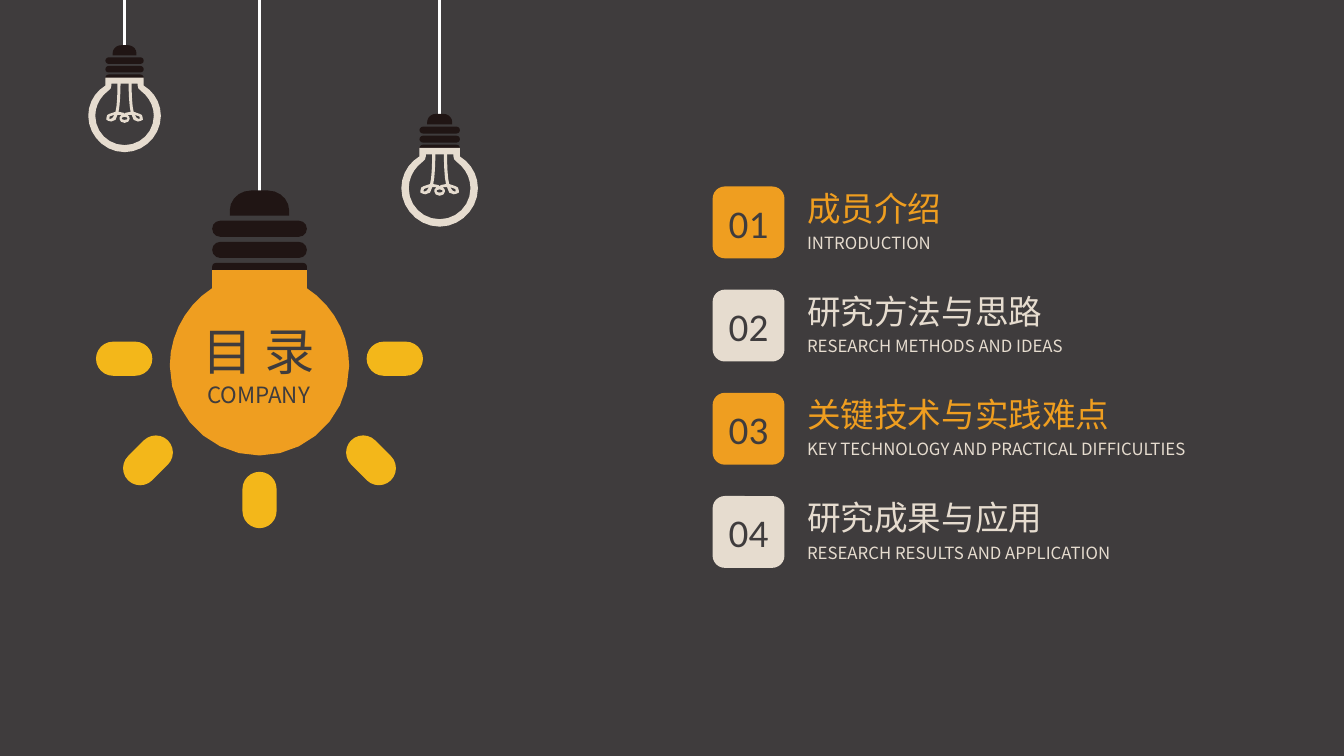
from dataclasses import dataclass
from math import ceil, dist

from lxml.etree import SubElement
from pptx import Presentation
from pptx.dml.color import RGBColor as RGB
from pptx.enum.shapes import MSO_CONNECTOR as CONN, MSO_SHAPE as SHAPE
from pptx.enum.text import MSO_ANCHOR as ANCHOR, MSO_AUTO_SIZE as FIT, PP_ALIGN as ALIGN
from pptx.oxml.ns import qn
from pptx.util import Cm, Pt

COLORS = {"back": "3F3C3D", "orange": "EF9E20", "cream": "E6DCCF",
          "cap": "201514", "ray": "F3B71A", "cord": "FFFFFF"}
CJK = "Noto Sans CJK SC"


@dataclass
class Item:
    title: str
    subtitle: str
    color: str
    title_w: float
    subtitle_w: float


@dataclass
class Band:
    y: float
    h: float
    preset: SHAPE = SHAPE.ROUNDED_RECTANGLE


@dataclass
class Design:
    """Bulb outlines in units, measured from the cap's top on the bulb's axis."""
    glass_w: float
    dome_scale: float
    band_w: float
    bands: list
    glass: list
    glass_color: str
    filament: list


@dataclass
class Bulb:
    design: Design
    x: float
    top: float
    width: float


# Outline helpers: a step of 2 numbers is a line, one of 6 a Bezier curve
def trace(steps: list) -> list:
    pts = [steps[0]]
    for step in steps[1:]:
        if len(step) == 2:
            pts.append(step)
            continue
        ctrl = [pts[-1], step[:2], step[2:4], step[4:]]
        n = min(7, 1 + ceil(dist(ctrl[0], ctrl[3]) / 9))
        for t in (i / n for i in range(1, n + 1)):
            w = ((1 - t) ** 3, 3 * t * (1 - t) ** 2, 3 * t * t * (1 - t), t ** 3)
            pts.append(tuple(sum(k * c[axis] for k, c in zip(w, ctrl)) for axis in (0, 1)))
    return pts


def flip(pts: list) -> list:
    return [(-x, y) for x, y in reversed(pts)]


def symmetric(steps: list) -> list:
    half = trace(steps)
    return half + flip(half)[1:-1]


# Bulb outlines
DOME = symmetric([(0, 0), (-8.5, 0), (-20, 0, -29.5, 9, -29.5, 20), (-29.5, 25), (0, 25)])
LARGE_GLASS = symmetric([(0, 263), (-49, 263, -89, 223, -89, 174),
                         (-89, 142, -72, 113, -47, 97), (-47, 79), (0, 79)])
GLASS_OUTER = symmetric([(0, 106), (-20, 106, -36, 89, -36, 70),
                         (-36, 57, -29, 46, -19, 40), (-19, 32), (0, 32)])
GLASS_INNER = symmetric([(0, 99), (-16, 99, -29, 86, -29, 70), (-29, 60, -24, 51, -16, 45),
                         (-14, 44, -13, 42, -13, 40), (-13, 38), (0, 38)])
WIRE = symmetric([(0, 77), (-3, 77, -5, 75, -5, 73), (-5, 72, -5, 70, -3, 69), (-7, 69),
                  (-9, 74), (-12, 76, -15, 76, -16, 75), (-18, 75, -19, 73, -18, 72),
                  (-18, 70, -17, 68, -15, 68), (-9, 66),
                  (-7, 59, -7, 41, -7, 36), (-5, 35), (-4, 37),
                  (-4, 38, -4, 58, -6, 66), (-1, 67), (0, 68)])
LOOP = trace([(-13, 70), (-10, 69), (-12, 72), (-13, 73, -14, 73, -15, 73), (-15, 72),
              (-15, 71, -15, 70, -13, 70)])
EYE = symmetric([(0, 71), (-2, 71, -3, 72, -3, 72.5), (-3, 73.5, -1.5, 74, 0, 74)])

LARGE = Design(178, 1, 94, [Band(72, 7, SHAPE.ROUND_2_SAME_RECTANGLE), Band(51, 16), Band(30, 16)],
               [LARGE_GLASS], "orange", [])
SMALL = Design(72, 0.4, 38, [Band(y, 6.5) for y in (29, 20.5, 12)],
               [GLASS_OUTER, GLASS_INNER], "cream", [WIRE, LOOP, flip(LOOP), EYE])


# Drawing functions
def paint(sp, color: str) -> None:
    sp.shadow.inherit = False
    sp.fill.solid()
    sp.fill.fore_color.rgb = RGB.from_string(COLORS[color])
    sp.line.fill.background()


def add_preset(shapes, preset: SHAPE, box: tuple, color: str, adj: float = 0.5):
    sp = shapes.add_shape(preset, *map(Cm, box))
    sp.adjustments[0] = adj
    paint(sp, color)
    return sp


def add_outline(shapes, bulb: Bulb, scale: float, paths: list, color: str) -> None:
    placed = [[(Cm(bulb.x + x * scale), Cm(bulb.top + y * scale)) for x, y in pts] for pts in paths]
    fb = shapes.build_freeform(*placed[0][0], scale=1.0)
    for i, pts in enumerate(placed):
        if i:
            fb.move_to(*pts[0])
        fb.add_line_segments(pts[1:], close=True)
    paint(fb.convert_to_shape(), color)


def add_bulb(shapes, bulb: Bulb) -> None:
    d = bulb.design
    s = bulb.width / d.glass_w
    cord = shapes.add_connector(CONN.STRAIGHT, Cm(bulb.x), 0, Cm(bulb.x), Cm(bulb.top + 0.03))
    cord.line.color.rgb = RGB.from_string(COLORS["cord"])
    cord.line.width = Pt(1.75)
    SubElement(cord._element.spPr, qn("a:effectLst"))
    if d.filament:
        add_outline(shapes, bulb, s, d.filament, "cream")
    for band in d.bands:
        box = (bulb.x - d.band_w * s / 2, bulb.top + band.y * s, d.band_w * s, band.h * s)
        add_preset(shapes, band.preset, box, "cap")
    add_outline(shapes, bulb, s * d.dome_scale, [DOME], "cap")
    add_outline(shapes, bulb, s, d.glass, d.glass_color)


def write(p, text: str, size: float, color: str, font: str = CJK, align: ALIGN = ALIGN.LEFT) -> None:
    p.alignment = align
    r = p.add_run()
    r.text = text
    r.font.color.rgb = RGB.from_string(COLORS[color])
    for key, value in {"size": Pt(size), "name": font}.items():
        setattr(r.font, key, value)
    SubElement(r._r.get_or_add_rPr(), qn("a:ea"), typeface=font)


def add_text(shapes, box: tuple, wrap: bool = True):
    tf = shapes.add_textbox(*map(Cm, box)).text_frame
    for key, value in {"word_wrap": wrap, "auto_size": FIT.SHAPE_TO_FIT_TEXT}.items():
        setattr(tf, key, value)
    return tf


# Slide
prs = Presentation()
prs.slide_width, prs.slide_height = Cm(33.87), Cm(19.05)
slide = prs.slides.add_slide(prs.slide_layouts[6])
slide.background.fill.solid()
slide.background.fill.fore_color.rgb = RGB.from_string(COLORS["back"])

# Hanging bulbs
large_bulb = Bulb(LARGE, 6.54, 4.8, 4.52)
for bulb in (large_bulb, Bulb(SMALL, 3.14, 1.14, 1.83), Bulb(SMALL, 11.08, 2.87, 1.93)):
    group = slide.shapes.add_group_shape()
    add_bulb(group.shapes, bulb)
    if bulb is large_bulb:
        # Rays: centre offset from the axis, centre height, turn
        for dx, cy, turn in ((-3.41, 9.04, 0), (3.41, 9.04, 0), (2.81, 11.6, 45),
                             (-2.81, 11.6, -45), (0, 12.6, 90)):
            box = (bulb.x + dx - 0.71, cy - 0.43, 1.42, 0.86)
            add_preset(group.shapes, SHAPE.ROUNDED_RECTANGLE, box, "ray").rotation = turn

# Contents list
ITEMS = [
    Item("成员介绍", "INTRODUCTION", "orange", 7.19, 3.84),
    Item("研究方法与思路", "RESEARCH METHODS AND IDEAS", "cream", 7.19, 7.44),
    Item("关键技术与实践难点", "KEY TECHNOLOGY AND PRACTICAL DIFFICULTIES", "orange", 9.91, 10.64),
    Item("研究成果与应用", "RESEARCH RESULTS AND APPLICATION", "cream", 7.19, 8.61),
]
for i, item in enumerate(ITEMS):
    y = 4.7 + 2.6 * i
    sp = add_preset(slide.shapes, SHAPE.ROUNDED_RECTANGLE, (17.96, y, 1.81, 1.81), item.color, 0.17)
    tf = sp.text_frame
    for key, value in {"word_wrap": False, "vertical_anchor": ANCHOR.MIDDLE}.items():
        setattr(tf, key, value)
    write(tf.paragraphs[0], f"{i + 1:02}", 28, "back", "Calibri", ALIGN.CENTER)
    tf = add_text(slide.shapes, (20.09, y + 1.04, item.subtitle_w, 0.76), wrap=False)
    write(tf.paragraphs[0], item.subtitle, 12, "cream")
    tf = add_text(slide.shapes, (20.09, y - 0.1, item.title_w, 1.3))
    write(tf.paragraphs[0], item.title, 24, item.color)

# Heading on the large bulb
tf = add_text(slide.shapes, (4.78, 7.95, 3.48, 2.51))
write(tf.paragraphs[0], "目 录", 36, "back", align=ALIGN.CENTER)
write(tf.add_paragraph(), "COMPANY", 16, "back", align=ALIGN.CENTER)

prs.save("out.pptx")
